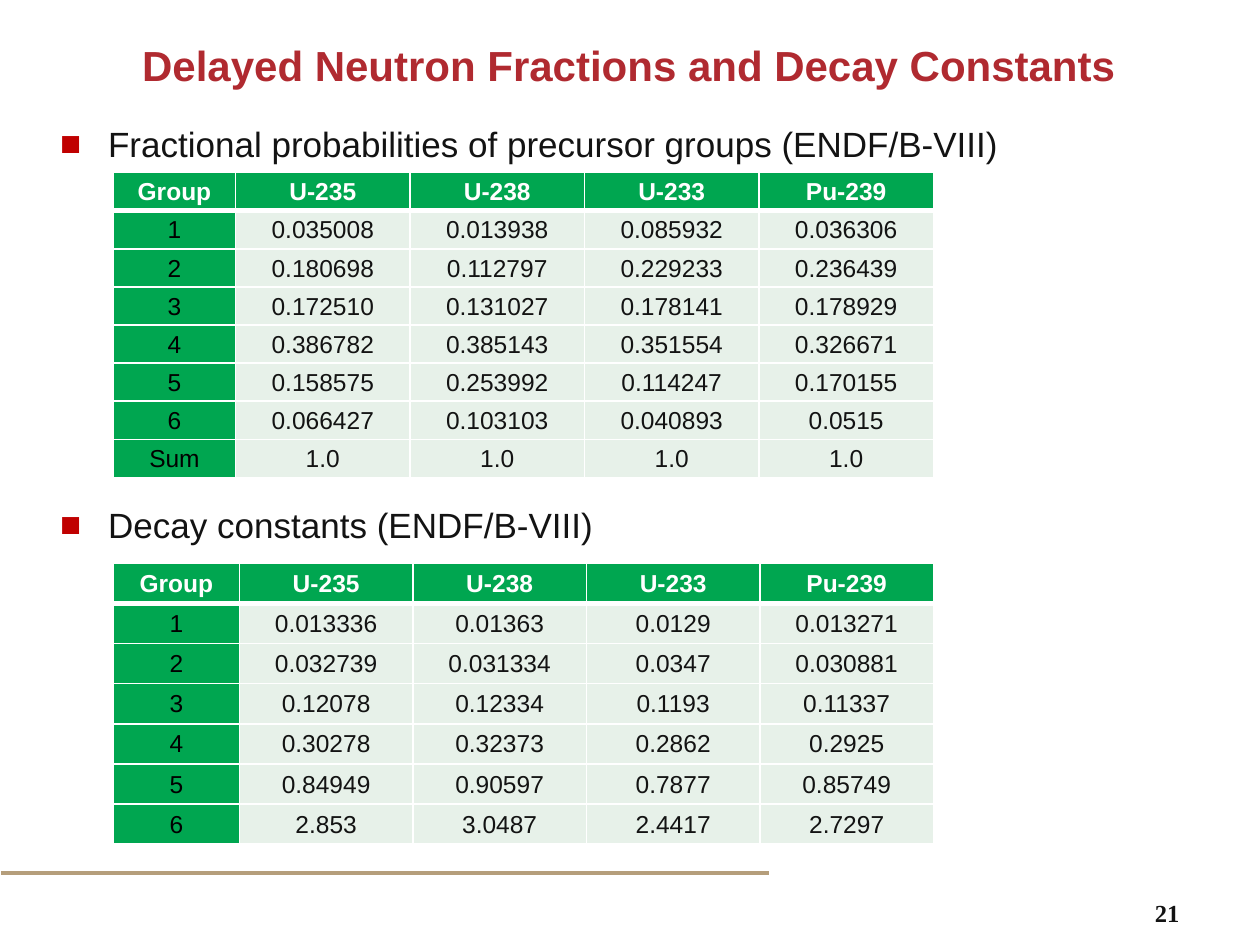
import pptx
import pptx.dml.color
import pptx.enum.shapes
import pptx.enum.text
import pptx.oxml
import pptx.oxml.ns
import pptx.util
from lxml import etree

Inches = pptx.util.Inches
Pt = pptx.util.Pt
RGBColor = pptx.dml.color.RGBColor
Align = pptx.enum.text.PP_ALIGN
Anchor = pptx.enum.text.MSO_ANCHOR

RED = RGBColor(0xB0, 0x2A, 0x30)
BULLET_RED = RGBColor(0xC0, 0x00, 0x00)
GREEN = RGBColor(0x00, 0xA6, 0x50)
PALE_GREEN = RGBColor(0xE7, 0xF1, 0xE9)
TAN = RGBColor(0xB5, 0x9E, 0x7B)
INK = RGBColor(0x13, 0x13, 0x13)
BLACK = RGBColor(0x00, 0x00, 0x00)
WHITE = RGBColor(0xFF, 0xFF, 0xFF)

TITLE = "Delayed Neutron Fractions and Decay Constants"
PAGE_NUMBER = "21"
HEADER = ("Group", "U-235", "U-238", "U-233", "Pu-239")
FRACTIONS = [
    ("1", "0.035008", "0.013938", "0.085932", "0.036306"),
    ("2", "0.180698", "0.112797", "0.229233", "0.236439"),
    ("3", "0.172510", "0.131027", "0.178141", "0.178929"),
    ("4", "0.386782", "0.385143", "0.351554", "0.326671"),
    ("5", "0.158575", "0.253992", "0.114247", "0.170155"),
    ("6", "0.066427", "0.103103", "0.040893", "0.0515"),
    ("Sum", "1.0", "1.0", "1.0", "1.0"),
]
DECAY_CONSTANTS = [
    ("1", "0.013336", "0.01363", "0.0129", "0.013271"),
    ("2", "0.032739", "0.031334", "0.0347", "0.030881"),
    ("3", "0.12078", "0.12334", "0.1193", "0.11337"),
    ("4", "0.30278", "0.32373", "0.2862", "0.2925"),
    ("5", "0.84949", "0.90597", "0.7877", "0.85749"),
    ("6", "2.853", "3.0487", "2.4417", "2.7297"),
]
SECTIONS = [
    dict(heading="Fractional probabilities of precursor groups (ENDF/B-VIII)",
         heading_top=0.92, rows=FRACTIONS, top=1.37, height=2.42, group_width=0.97),
    dict(heading="Decay constants (ENDF/B-VIII)",
         heading_top=3.95, rows=DECAY_CONSTANTS, top=4.47, height=2.23, group_width=1.0),
]
TABLE_LEFT, TABLE_WIDTH = 0.9, 6.51


def set_font(paragraph, size, color, bold=False, name="Arial"):
    font = paragraph.font
    font.name, font.size, font.bold = name, Pt(size), bold
    font.color.rgb = color


def add_text(slide, text, left, top, width, height):
    frame = slide.shapes.add_textbox(
        Inches(left), Inches(top), Inches(width), Inches(height)).text_frame
    frame.word_wrap = True
    frame.text = text
    return frame.paragraphs[0]


def add_heading(slide, text, top):
    paragraph = add_text(slide, text, 0.38, top, 9.23, 0.44)
    set_font(paragraph, 20, INK)
    paragraph.space_before = paragraph.space_after = Pt(2)
    properties = paragraph._p.get_or_add_pPr()
    properties.set("marL", str(Inches(0.38)))
    properties.set("indent", str(-Inches(0.38)))
    namespace = pptx.oxml.ns.nsdecls("a")
    bullet = (f'<a:buClr {namespace}><a:srgbClr val="{BULLET_RED}"/></a:buClr>',
              f'<a:buFont {namespace} typeface="Arial"/>',
              f'<a:buChar {namespace} char="■"/>')
    for position, xml in enumerate(bullet, start=2):
        properties.insert(position, pptx.oxml.parse_xml(xml))


def set_borders(cell, top, bottom):
    properties = cell._tc.get_or_add_tcPr()
    widths = (("L", 1), ("R", 1), ("T", top), ("B", bottom))
    for position, (side, width) in enumerate(widths):
        properties.insert(position, pptx.oxml.parse_xml(
            f'<a:ln{side} {pptx.oxml.ns.nsdecls("a")} w="{Pt(width)}">'
            f'<a:solidFill><a:srgbClr val="{WHITE}"/></a:solidFill></a:ln{side}>'))


def format_cell(cell, text, row, column):
    cell.text = text
    cell.vertical_anchor = Anchor.MIDDLE
    cell.margin_left = cell.margin_right = cell.margin_top = Inches(0.01)
    cell.margin_bottom = 0
    cell.fill.solid()
    cell.fill.fore_color.rgb = GREEN if row == 0 or column == 0 else PALE_GREEN
    color = WHITE if row == 0 else BLACK if column == 0 else INK
    paragraph = cell.text_frame.paragraphs[0]
    paragraph.alignment = Align.CENTER
    set_font(paragraph, 14, color, bold=row == 0)
    set_borders(cell, 3 if row == 1 else 1, 3 if row == 0 else 1)


def add_data_table(slide, rows, top, height, group_width):
    rows = [HEADER] + rows
    table = slide.shapes.add_table(
        len(rows), len(HEADER), Inches(TABLE_LEFT), Inches(top),
        Inches(TABLE_WIDTH), Inches(height)).table
    table.first_row = table.horz_banding = False
    isotope_width = (TABLE_WIDTH - group_width) / (len(HEADER) - 1)
    for index, column in enumerate(table.columns):
        column.width = Inches(isotope_width if index else group_width)
    for row, values in enumerate(rows):
        table.rows[row].height = Inches(height / len(rows))
        for column, text in enumerate(values):
            format_cell(table.cell(row, column), text, row, column)


def add_title(slide):
    title = slide.shapes.title
    title.left, title.top = Inches(0.37), Inches(0.36)
    title.width, title.height = Inches(9.24), Inches(0.41)
    frame = title.text_frame
    frame.text = TITLE
    frame.word_wrap = True
    frame.vertical_anchor = Anchor.TOP
    frame.margin_top = 0
    paragraph = frame.paragraphs[0]
    paragraph.alignment = Align.CENTER
    paragraph.line_spacing = 0.9
    set_font(paragraph, 24, RED, bold=True)


def add_footer(slide):
    number = add_text(slide, PAGE_NUMBER, 8.96, 7.08, 0.5, 0.42)
    number.alignment = Align.RIGHT
    set_font(number, 14, INK, bold=True, name="Times New Roman")
    rule = slide.shapes.add_connector(
        pptx.enum.shapes.MSO_CONNECTOR.STRAIGHT,
        Inches(0.01), Inches(6.93), Inches(6.1), Inches(6.93))
    rule.line.color.rgb = TAN
    rule.line.width = Pt(2)
    etree.SubElement(rule._element.spPr, pptx.oxml.ns.qn("a:effectLst"))


def main():
    presentation = pptx.Presentation()
    presentation.slide_width, presentation.slide_height = Inches(10), Inches(7.5)
    slide = presentation.slides.add_slide(presentation.slide_layouts[5])
    add_footer(slide)
    add_title(slide)
    for section in SECTIONS:
        add_data_table(slide, section["rows"], section["top"],
                       section["height"], section["group_width"])
        add_heading(slide, section["heading"], section["heading_top"])
    presentation.save("out.pptx")


if __name__ == "__main__":
    main()
